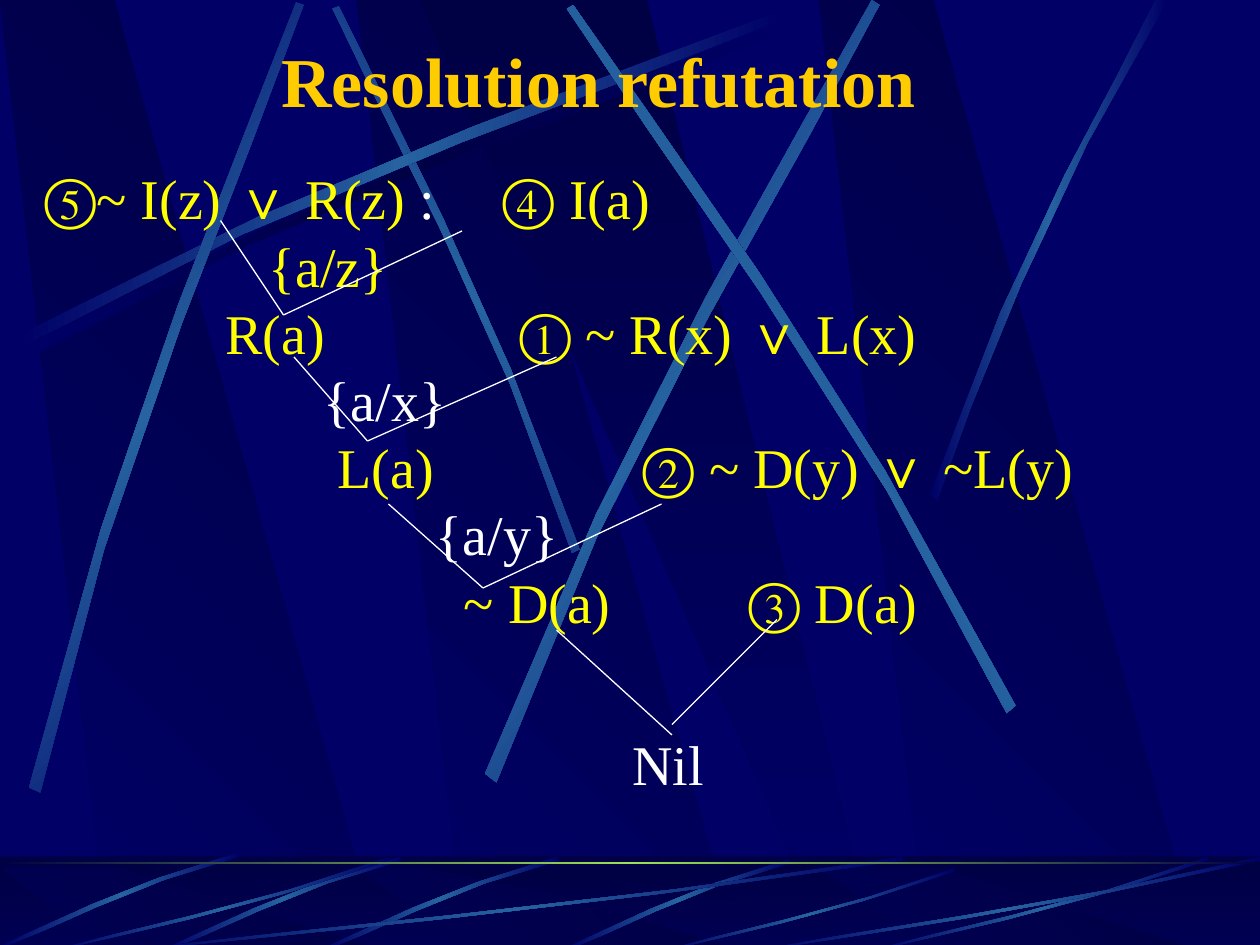
import pptx
import pptx.util
import pptx.dml.color
import pptx.enum.shapes
import pptx.enum.text
import pptx.oxml
import pptx.oxml.ns

Inch = pptx.util.Inches
Pt = pptx.util.Pt
WIDE, HIGH = 10, 7.5
UNIT = 1 / 12  # grid step of the tree lines, in inches
HUES = {"navy": "000066", "deep": "000044", "ray": "2663A0", "lime": "9CE157",
        "gold": "FFCC00", "sun": "FFFF00", "white": "FFFFFF"}
SERIF, SANS = "Times New Roman", "Arial"
FADE = ("navy", "ray", "navy")

# Outlines as shares of a box
SLAB = [(0.28, 0.99), (1, 1), (0.3, 0), (0, 0)]
WEDGE = [(0, 0), (0.9, 1), (1, 1), (0.5, 0)]
# Each ray: start, two controls, end, then the way back
BOW = [(0, 0.96), (0.43, 0.43), (0.83, 0.15), (0.99, 0),
       (1, 0.02), (0.83, 0.19), (0.38, 0.5), (0, 1)]
ARC = [(0.99, 0), (0.52, 0.32), (0.16, 0.8), (0, 0.97),
       (0, 1), (0.17, 0.86), (0.57, 0.3), (1, 0.04)]
SWEEP = [(1, 0.04), (0.57, 0.57), (0.17, 0.85), (0, 1),
         (0, 0.99), (0.16, 0.81), (0.62, 0.51), (1, 0)]
# Steep rays in inches, each with its gradient angle
STEEP = [
    (315, [(4.6, 4.36), (3.91, 2.34), (3.02, 0.77), (2.69, 0.05),
           (2.64, 0.07), (2.95, 0.79), (3.98, 2.58), (4.54, 4.39)]),
    (48.3, [(0.23, 6.25), (0.93, 3.34), (1.97, 1.05), (2.35, 0.02),
            (2.41, 0.04), (2.07, 1.08), (0.86, 3.68), (0.32, 6.29)]),
    (38.4, [(3.85, 6.14), (4.98, 3.2), (6.38, 1.02), (6.92, 0),
            (6.98, 0.04), (6.49, 1.08), (4.86, 3.55), (3.94, 6.21)]),
    (325.2, [(8.06, 5.6), (6.7, 2.93), (5.16, 0.95), (4.55, 0.04),
             (4.5, 0.07), (5.07, 1.01), (6.85, 3.25), (7.99, 5.66)]),
    (0, [(7.38, 3.93), (8.14, 1.73), (8.88, 0.66), (9.17, 0),
         (9.27, 0), (8.36, 1.45), (7.69, 3.22), (7.44, 3.97)]),
]
FLAT = [(1, 6.8, 6.17, 0.75), (0.42, 6.8, 2.67, 0.75), (5.27, 6.89, 2.31, 0.66),
        (6.92, 6.8, 2.67, 0.75), (6, 6.8, 4, 0.75)]

# Rows of the proof: first and second column in inches, then runs of (text, hue)
ROWS = [
    (0, 3.64, [("⑤~ I(z) ∨ R(z)", "sun"), (" :\t", "white"), ("④ I(a)", "sun")]),
    (1.78, 1.78, [("{a/z}", "sun")]),
    (1.44, 3.77, [("R(a)\t① ~ R(x) ∨ L(x)", "sun")]),
    (2.22, 2.22, [("{a/x}", "white")]),
    (2.33, 4.75, [("L(a)\t② ~ D(y) ∨ ~L(y)", "sun")]),
    (3.11, 3.11, [("{a/y}", "white")]),
    (3.33, 5.59, [("~ D(a)\t③ D(a)", "sun")]),
    (4.67, 4.67, [("Nil", "white")]),
]
# Ends of each tree line, in grid steps
LINES = [(21, 21, 27, 30), (44, 22, 27, 30), (28, 34, 35, 42), (53, 34, 35, 42),
         (37, 48, 46, 56), (63, 48, 46, 56), (53, 60, 64, 70), (74, 59, 64, 69)]


def hue(name):
    return pptx.dml.color.RGBColor.from_string(HUES[name])


def node(parent, tag, **attrs):
    item = parent.makeelement(pptx.oxml.ns.qn(tag), {k: str(v) for k, v in attrs.items()})
    parent.append(item)
    return item


def paint(shape, names, angle=0):
    """Fill with evenly spaced gradient stops; the angle runs clockwise."""
    shape.shadow.inherit = False
    shape.line.fill.background()
    shape.fill.gradient()
    grad = shape.element.spPr.find(pptx.oxml.ns.qn("a:gradFill"))
    for child in list(grad):
        grad.remove(child)
    stops = node(grad, "a:gsLst")
    for i, name in enumerate(names):
        stop = node(stops, "a:gs", pos=round(100000 * i / (len(names) - 1)))
        node(stop, "a:srgbClr", val=HUES[name])
    node(grad, "a:lin", ang=round(angle * 60000), scaled=0)


def fit(shares, box):
    x, y, w, h = box
    return [(x + a * w, y + b * h) for a, b in shares]


def bend(ends, steps=4):
    """Points along one cubic curve."""
    for i in range(steps + 1):
        t = i / steps
        parts = ((1 - t) ** 3, 3 * t * (1 - t) ** 2, 3 * t * t * (1 - t), t ** 3)
        yield tuple(sum(m * p[k] for m, p in zip(parts, ends)) for k in (0, 1))


def shard(slide, points, names, angle):
    spots = [(Inch(x), Inch(y)) for x, y in points]
    pen = slide.shapes.build_freeform(*spots[0], scale=1.0)
    pen.add_line_segments(spots[1:], close=True)
    paint(pen.convert_to_shape(), names, angle)


def ray(slide, ends, names=FADE, angle=0):
    shard(slide, [*bend(ends[:4]), *bend(ends[4:])], names, angle)


def band(slide, top, high):
    kind = pptx.enum.shapes.MSO_SHAPE.RECTANGLE
    return slide.shapes.add_shape(kind, 0, Inch(top), Inch(WIDE), Inch(high))


def slabs(slide, top, high):
    for left in (2.83, 0, 6.5):
        shard(slide, fit(SLAB, (left, top, 3.02, high)), ("navy", "deep"), 315)
    shard(slide, fit(WEDGE, (3.33, top, 3.61, high)), ("deep", "navy"), 90)


def scene(slide):
    slide.background.fill.solid()
    slide.background.fill.fore_color.rgb = hue("navy")
    slabs(slide, 0, HIGH)
    ray(slide, fit(BOW, (0.2, 0.18, 6.08, 2.67)), ("navy", "deep", "navy"))
    ray(slide, STEEP[0][1], angle=STEEP[0][0])
    ray(slide, fit(BOW, (0.14, 0.1, 6.08, 2.67)))
    for angle, ends in STEEP[1:]:
        ray(slide, ends, angle=angle)


def floor(slide):
    paint(band(slide, 6.8, 0.75), ("deep", "navy"), 90)
    slabs(slide, 6.88, 0.66)
    veil = band(slide, 6.79, 0.75)
    veil.shadow.inherit = False
    veil.line.fill.background()
    veil.fill.solid()
    veil.fill.fore_color.rgb = hue("deep")
    tint = next(veil.element.spPr.iter(pptx.oxml.ns.qn("a:srgbClr")))
    node(tint, "a:alpha", val=50000)
    ray(slide, fit(ARC, (4.48, 6.82, 1.8, 0.73)))
    for left, top in ((2.56, 6.8), (1.31, 6.8), (0.02, 6.77)):
        ray(slide, fit(ARC, (left, top, 1.88, 0.75)))
    for box in FLAT:
        ray(slide, fit(SWEEP, box))
    paint(band(slide, 6.84, 0.02), ("deep", "lime", "deep"))


def place(slide, shape, box):
    """Move a placeholder and bring it in front of the scene."""
    shape.left, shape.top, shape.width, shape.height = map(Inch, box)
    slide.shapes.element.append(shape.element)
    shape.text_frame.word_wrap = True
    shape.text_frame.auto_size = pptx.enum.text.MSO_AUTO_SIZE.NONE
    return shape.text_frame


def write(para, text, size, name, face=SERIF, bold=False):
    run = para.add_run()
    run.text = text
    run.font.size, run.font.name, run.font.bold = Pt(size), face, bold
    run.font.color.rgb = hue(name)


def head(slide):
    frame = place(slide, slide.shapes.title, (0.5, 0.25, 8.5, 0.77))
    frame.vertical_anchor = pptx.enum.text.MSO_ANCHOR.MIDDLE
    para = frame.paragraphs[0]
    para.alignment = pptx.enum.text.PP_ALIGN.CENTER
    write(para, "Resolution refutation", 40, "gold", bold=True)


def proof(slide):
    """Rows with a hanging indent: a tab leads to the second column."""
    frame = place(slide, slide.placeholders[1], (0.25, 1.25, 9.75, 5.83))
    frame.margin_top = Inch(0.05)
    for i, (first, second, runs) in enumerate(ROWS):
        para = frame.add_paragraph() if i else frame.paragraphs[0]
        para.line_spacing = Pt(38.4)
        para.space_before = Pt(54.4 if i == len(ROWS) - 1 else 0)
        props = para._p.get_or_add_pPr()
        props.set("marL", str(Inch(second)))
        props.set("indent", str(Inch(first - second)))
        node(props, "a:buNone")
        for text, name in runs:
            left, sign, right = text.partition("∨")
            for part, face in ((left, SERIF), (sign, SANS), (right, SERIF)):
                if part:
                    write(para, part, 32, name, face)


def tree(slide):
    kind = pptx.enum.shapes.MSO_CONNECTOR.STRAIGHT
    for ends in LINES:
        line = slide.shapes.add_connector(kind, *(Inch(n * UNIT) for n in ends))
        line.line.color.rgb = hue("white")
        line.line.width = Pt(0.75)
        node(line.element.spPr, "a:effectLst")


def main():
    deck = pptx.Presentation()
    deck.slide_width, deck.slide_height = Inch(WIDE), Inch(HIGH)
    slide = deck.slides.add_slide(deck.slide_layouts[1])
    for draw in (scene, floor, head, proof, tree):
        draw(slide)
    deck.save("out.pptx")


if __name__ == "__main__":
    main()
